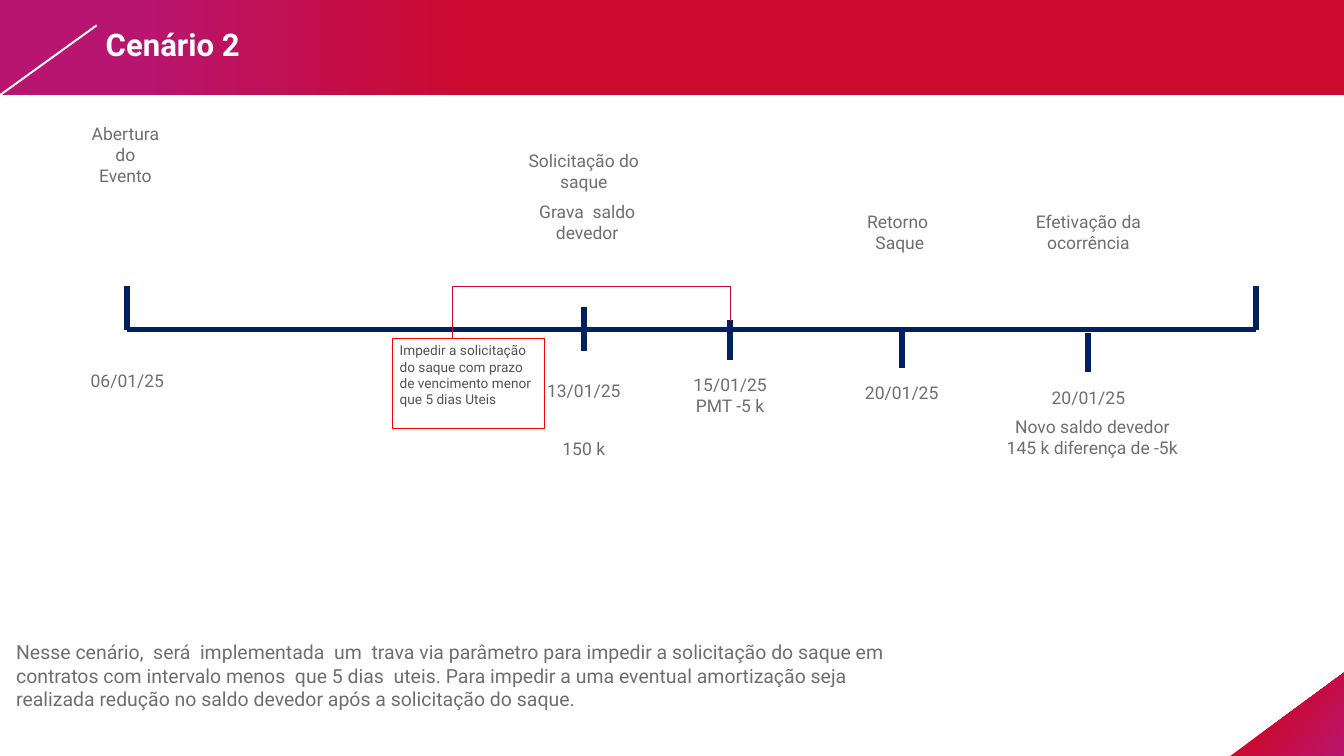
"""Build the "Cenário 2" withdrawal timeline slide."""
from dataclasses import dataclass

from lxml.etree import SubElement
from pptx import Presentation
from pptx.dml.color import RGBColor as Color
from pptx.enum.shapes import MSO_CONNECTOR as Connector, MSO_SHAPE as Shape
from pptx.enum.text import MSO_ANCHOR as Anchor, MSO_AUTO_SIZE as AutoSize, PP_ALIGN as Align
from pptx.oxml.ns import qn
from pptx.util import Pt


@dataclass(frozen=True)
class Theme:
    font: str = "Roboto"
    red: str = "CC092F"
    purple: str = "B81570"
    navy: str = "002060"
    alert: str = "FF0000"
    gray: str = "6D6E71"
    dark_gray: str = "525255"
    white: str = "FFFFFF"
    title_size: int = 32
    body_size: int = 20
    label_size: int = 18
    note_size: int = 14


class TimelineSlide:
    def __init__(self, presentation, theme):
        self.theme = theme
        self.slide = presentation.slides.add_slide(presentation.slide_layouts[5])
        self.shapes = self.slide.shapes

    def set_text(self, shape, text, size, color, align=Align.LEFT, bold=False):
        frame = shape.text_frame
        frame.text = text
        frame.word_wrap = True
        frame.auto_size = AutoSize.NONE
        frame.vertical_anchor = Anchor.TOP
        for paragraph in frame.paragraphs:
            paragraph.alignment = align
            for run in paragraph.runs:
                run.font.name = self.theme.font
                run.font.size = Pt(size)
                run.font.bold = bold
                run.font.color.rgb = Color.from_string(color)

    def title(self, text, left, top, width, height):
        title = self.shapes.title
        title.left, title.top, title.width, title.height = map(Pt, (left, top, width, height))
        self.set_text(title, text, self.theme.title_size, self.theme.white, bold=True)
        title.element.getparent().append(title.element)

    def text(self, text, left, top, width, height, size, align=Align.LEFT):
        box = self.shapes.add_textbox(*map(Pt, (left, top, width, height)))
        self.set_text(box, text, size, self.theme.gray, align)

    def label(self, text, center, top, width=161, height=51):
        self.text(text, center - width / 2, top, width, height, self.theme.label_size, Align.CENTER)

    def line(self, start, end, color, width):
        line = self.shapes.add_connector(Connector.STRAIGHT, *map(Pt, (*start, *end)))
        line.line.color.rgb = Color.from_string(color)
        line.line.width = Pt(width)
        SubElement(line.element.spPr, qn("a:effectLst"))

    def gradient(self, kind, left, top, width, height, stops, angle=0, rotation=0):
        shape = self.shapes.add_shape(kind, *map(Pt, (left, top, width, height)))
        shape.shadow.inherit = False
        shape.rotation = rotation
        shape.line.fill.background()
        shape.fill.gradient()
        shape.fill.gradient_angle = angle
        for stop, (position, color) in zip(shape.fill.gradient_stops, stops):
            stop.position = position
            stop.color.rgb = Color.from_string(color)

    def note(self, text, left, top, width, height):
        box = self.shapes.add_shape(Shape.RECTANGLE, *map(Pt, (left, top, width, height)))
        box.shadow.inherit = False
        box.fill.background()
        box.line.color.rgb = Color.from_string(self.theme.alert)
        box.line.width = Pt(0.75)
        self.set_text(box, text, self.theme.note_size, self.theme.dark_gray)


def main():
    theme = Theme()
    presentation = Presentation()
    presentation.slide_width, presentation.slide_height = Pt(1382.4), Pt(777.6)
    timeline = TimelineSlide(presentation, theme)

    timeline.gradient(Shape.RECTANGLE, 0, 0, 1382.4, 98,
                      [(0.1, theme.purple), (0.35, theme.red)])
    timeline.line((-3, 100), (99.5, 26), theme.white, 2)
    timeline.gradient(Shape.RIGHT_TRIANGLE, 1281, 675.5, 86.5, 118,
                      [(0.4, theme.red), (0.99, theme.purple)], angle=230, rotation=270)
    timeline.title("Cenário 2", 101.5, 23, 649, 46)

    start, request, payment, feedback, completion, end = 131, 600.5, 751, 927.5, 1119.5, 1291.5
    axis = 339
    timeline.line((start, axis), (end, axis), theme.navy, 6)
    ticks = [
        (start, 294.5, axis), (request, 316, 361.5), (payment, 329.5, 370),
        (feedback, 337.5, 378.5), (completion, 342.5, 383), (end, 294.5, axis),
    ]
    for x, top, bottom in ticks:
        timeline.line((x, bottom), (x, top), theme.navy, 6)

    labels = [
        ("Abertura\ndo\nEvento", start - 2, 122.5),
        ("06/01/25", start, 377.5),
        ("Solicitação do saque", request, 150.5),
        ("Grava  saldo devedor", request + 3.5, 203),
        ("13/01/25", request, 387.5),
        ("150 k", request, 446.5),
        ("15/01/25\nPMT -5 k", payment, 381.5),
        ("20/01/25", feedback, 389.5),
        ("20/01/25", completion, 394.5),
    ]
    for text, center, top in labels:
        timeline.label(text, center, top)
    timeline.label("Retorno  Saque", feedback - 2, 213, width=90)
    timeline.label("Efetivação da ocorrência", completion, 213, width=128)
    timeline.label("Novo saldo devedor 145 k diferença de -5k", completion + 4, 424, width=198)

    timeline.text("Nesse cenário,  será  implementada  um  trava via parâmetro para impedir a "
                  "solicitação do saque em contratos com intervalo menos  que 5 dias  uteis. "
                  "Para impedir a uma eventual amortização seja realizada redução no saldo "
                  "devedor após a solicitação do saque.", 9.5, 655, 912, 80, theme.body_size)
    timeline.note("Impedir a solicitação do saque com prazo de vencimento menor que 5 dias Uteis",
                  404, 348.5, 156, 92)

    block_left, block_top = 465, 294
    bracket = [(block_left, 348.5), (block_left, block_top), (payment, block_top), (payment, 330)]
    for corner, following in zip(bracket, bracket[1:]):
        timeline.line(corner, following, theme.red, 0.5)

    presentation.save("out.pptx")


if __name__ == "__main__":
    main()
